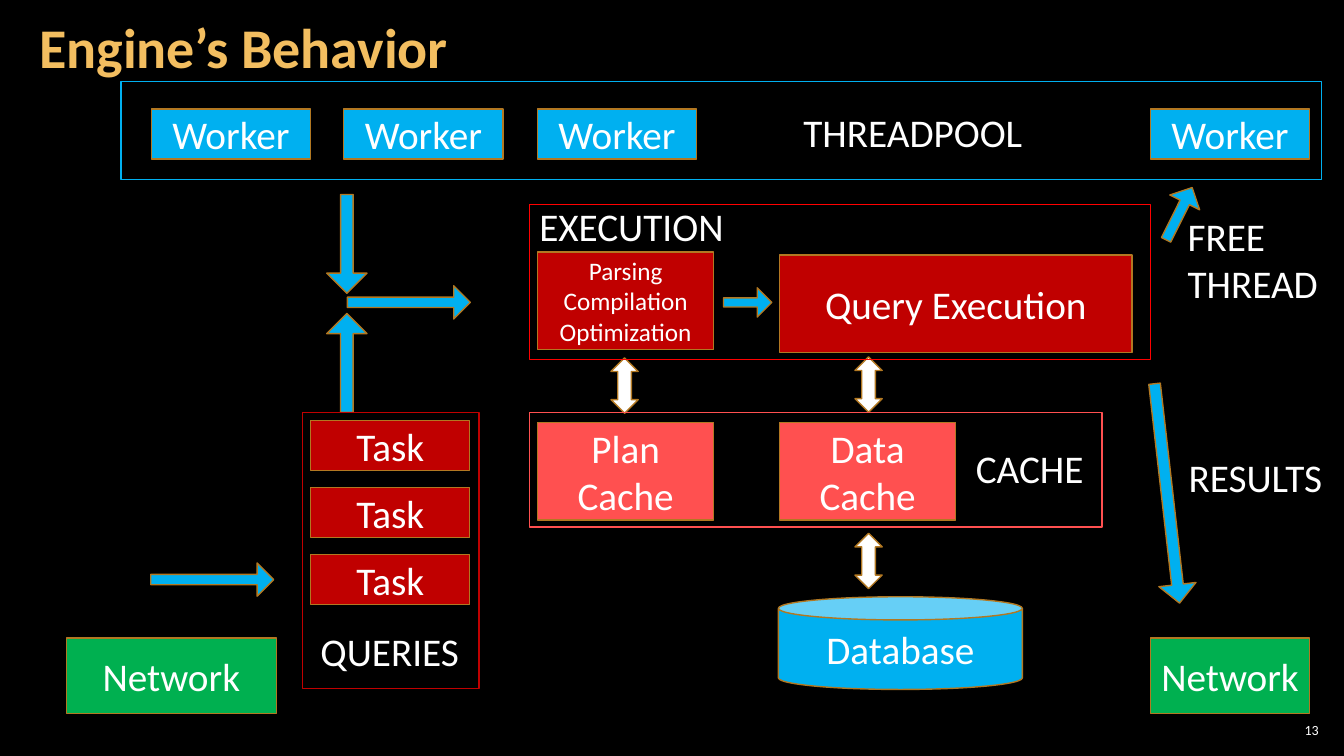
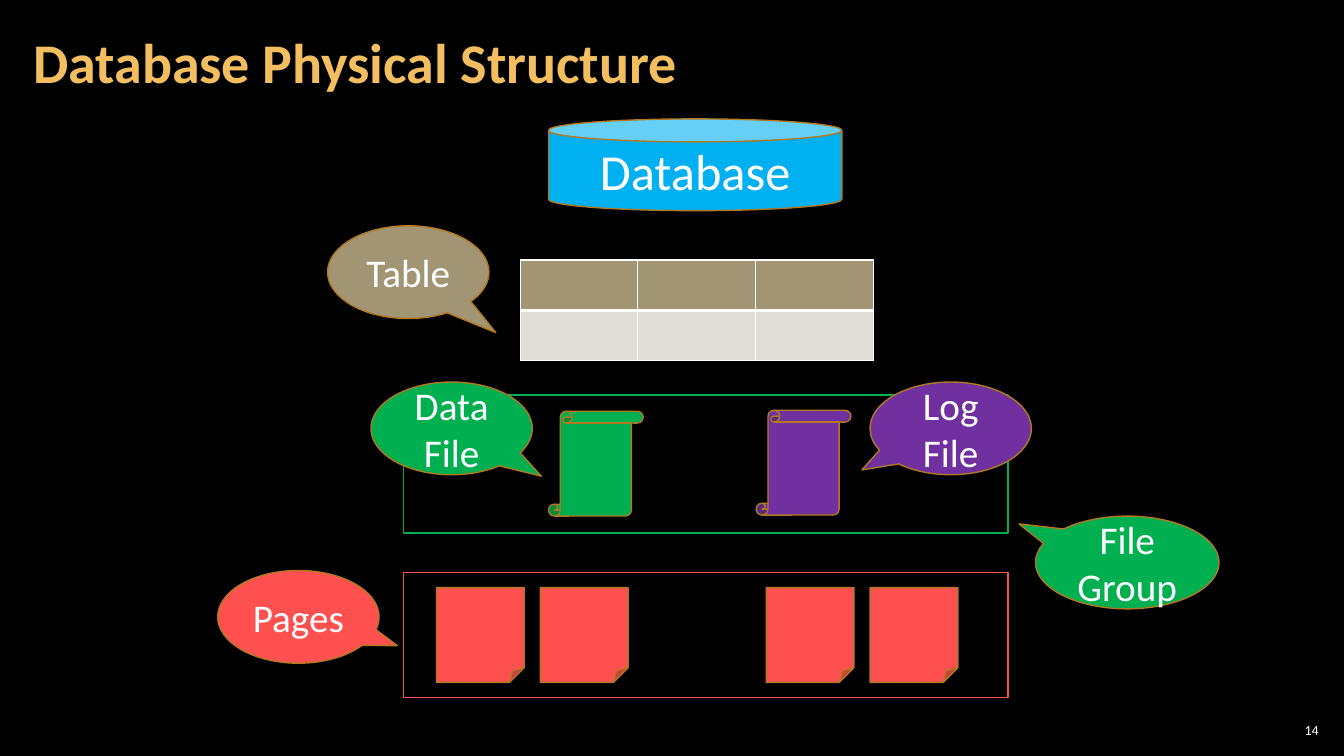
from dataclasses import dataclass

from lxml.etree import SubElement
from pptx import Presentation
from pptx.dml.color import RGBColor
from pptx.enum.shapes import MSO_SHAPE as SHAPE
from pptx.enum.text import MSO_ANCHOR as ANCHOR, MSO_AUTO_SIZE as AUTO, PP_ALIGN as ALIGN
from pptx.oxml.ns import qn
from pptx.util import Emu, Inches, Pt

FONT = "Calibri"
BLACK, WHITE, GOLD, BRONZE = "000000", "FFFFFF", "F3BE60", "B27822"
BLUE, GREEN, RED, CORAL = "00B0F0", "00B050", "C00000", "FF5050"
BRIGHT_RED, PURPLE, TAN, PALE_TAN = "FF0000", "7030A0", "A19574", "E0DDD6"

Box = tuple[float, float, float, float]


@dataclass(frozen=True)
class Block:
    box: Box
    fill: str
    text: str = ""
    size: int = 28
    kind: SHAPE = SHAPE.RECTANGLE
    rotation: float = 0
    adjust: tuple[float, ...] = ()


@dataclass(frozen=True)
class Frame:
    box: Box
    color: str


@dataclass(frozen=True)
class Label:
    text: str
    box: Box


def rgb(color: str) -> RGBColor:
    return RGBColor.from_string(color)


def lengths(box: Box) -> list[Emu]:
    return [Inches(value) for value in box]


def write(tf, text: str, size: int, color: str = WHITE, bold: bool = False, align=ALIGN.LEFT) -> None:
    tf.text = text
    for p in tf.paragraphs:
        p.alignment = align
        for r in p.runs:
            r.font.name, r.font.size, r.font.bold = FONT, Pt(size), bold
            r.font.color.rgb = rgb(color)


def add_outlined(slide, kind: SHAPE, box: Box, line: str):
    sp = slide.shapes.add_shape(kind, *lengths(box))
    sp.shadow.inherit = False
    sp.line.color.rgb = rgb(line)
    sp.line.width = Pt(1)
    return sp


def add_frame(slide, frame: Frame) -> None:
    add_outlined(slide, SHAPE.RECTANGLE, frame.box, frame.color).fill.background()


def add_block(slide, block: Block) -> None:
    sp = add_outlined(slide, block.kind, block.box, BRONZE)
    sp.fill.solid()
    sp.fill.fore_color.rgb = rgb(block.fill)
    sp.rotation = block.rotation
    for i, value in enumerate(block.adjust):
        sp.adjustments[i] = value
    if block.text:
        tf = sp.text_frame
        tf.word_wrap = True
        tf.vertical_anchor = ANCHOR.MIDDLE
        write(tf, block.text, block.size, align=ALIGN.CENTER)


def add_label(slide, label: Label) -> None:
    tf = slide.shapes.add_textbox(*lengths(label.box)).text_frame
    tf.word_wrap = False
    tf.auto_size = AUTO.SHAPE_TO_FIT_TEXT
    write(tf, label.text, 28)


def add_fixed_text(slide, box: Box, side_inset: float):
    tf = slide.shapes.add_textbox(*lengths(box)).text_frame
    tf.word_wrap = True
    tf.vertical_anchor = ANCHOR.MIDDLE
    tf.margin_left = tf.margin_right = Inches(side_inset)
    tf.margin_top = tf.margin_bottom = Inches(0.04)
    return tf


def new_slide(prs, title: str, left: float, top: float, number: int):
    slide = prs.slides.add_slide(prs.slide_layouts[6])
    slide.background.fill.solid()
    slide.background.fill.fore_color.rgb = rgb(BLACK)
    tf = add_fixed_text(slide, (left, top, 10.47, 1.21), 0.12)
    write(tf, title, 40, GOLD, bold=True)
    tf.paragraphs[0].line_spacing = 0.9
    tf = add_fixed_text(slide, (12.65, 7.14, 0.47, 0.21), 0.04)
    write(tf, str(number), 10, align=ALIGN.RIGHT)
    return slide


def arrow(box: Box, rotation: float = 0) -> Block:
    return Block(box, BLUE, kind=SHAPE.UP_ARROW, rotation=rotation, adjust=(0.312, 0.5))


def database(box: Box, size: int) -> Block:
    return Block(box, BLUE, "Database", size, SHAPE.CAN)


def callout(text: str, box: Box, fill: str, tip: tuple[float, float]) -> Block:
    return Block(box, fill, text, kind=SHAPE.OVAL_CALLOUT, adjust=tip)


def set_borders(cell, bottom: float) -> None:
    tc_pr = cell._tc.get_or_add_tcPr()
    for i, (tag, width) in enumerate((("lnL", 1), ("lnR", 1), ("lnT", 1), ("lnB", bottom))):
        ln = tc_pr.makeelement(qn(f"a:{tag}"), {"w": str(Pt(width))})
        fill = SubElement(ln, qn("a:solidFill"))
        SubElement(fill, qn("a:srgbClr"), val=WHITE)
        tc_pr.insert(i, ln)


def add_sample_table(slide) -> None:
    table = slide.shapes.add_table(2, 3, *lengths((5.16, 2.58, 3.5, 1))).table
    for row, fill, bottom in zip(table.rows, (TAN, PALE_TAN), (3, 1)):
        for cell in row.cells:
            cell.fill.solid()
            cell.fill.fore_color.rgb = rgb(fill)
            set_borders(cell, bottom)


def build_behavior(prs) -> None:
    slide = new_slide(prs, "Engine’s Behavior", 0.27, -0.11, 13)
    workers = [Block((x, 1.08, 1.58, 0.5), BLUE, "Worker") for x in (1.5, 3.41, 5.33, 11.41)]
    tasks = [Block((3.08, 4.17 + 0.665 * i, 1.58, 0.5), RED, "Task") for i in range(3)]
    networks = [Block((x, 6.33, w, 0.75), GREEN, "Network") for x, w in ((0.66, 2.08), (11.41, 1.58))]
    caches = [Block((x, 4.19, 1.75, 0.97), CORAL, text)
              for x, text in ((5.33, "Plan Cache"), (7.73, "Data Cache"))]
    steps = [
        Block((5.33, 2.5, 1.75, 0.97), RED, "Parsing\nCompilation\nOptimization", 18),
        Block((7.73, 2.53, 3.5, 0.97), RED, "Query Execution"),
    ]
    arrows = [
        arrow((1.94, 5.14, 0.33, 1.22), 90),
        arrow((3.89, 2.39, 0.33, 1.22), 90),
        arrow((3.24, 1.93, 0.4, 0.98), 180),
        arrow((3.24, 3.11, 0.4, 0.98)),
        arrow((7.27, 2.76, 0.29, 0.48), 90),
        arrow((11.53, 1.83, 0.33, 0.58), 26.5),
        arrow((11.39, 3.8, 0.37, 2.19), 173.5),
    ]
    exchanges = [Block((x, y, 0.27, 0.55), WHITE, kind=SHAPE.UP_DOWN_ARROW)
                 for x, y in ((6.06, 3.55), (8.48, 3.54), (8.48, 5.29))]
    frames = [
        Frame((1.2, 0.81, 11.91, 0.97), BLUE),
        Frame((3, 4.09, 1.75, 2.74), RED),
        Frame((5.25, 2.03, 6.16, 1.54), BRIGHT_RED),
        Frame((5.25, 4.09, 5.68, 1.14), CORAL),
    ]
    labels = [
        Label("THREADPOOL", (7.87, 1.03, 2.4, 0.57)),
        Label("QUERIES", (3.08, 6.17, 1.59, 0.57)),
        Label("EXECUTION", (5.25, 1.96, 2.05, 0.57)),
        Label("CACHE", (9.58, 4.36, 1.28, 0.57)),
        Label("RESULTS", (11.69, 4.45, 1.54, 0.57)),
        Label("FREE\nTHREAD", (11.68, 2.06, 1.51, 1.04)),
    ]
    storage = database((7.72, 5.92, 2.42, 0.92), 28)
    for block in (*networks, *tasks, *workers, *steps, *caches, storage, *arrows, *exchanges):
        add_block(slide, block)
    for frame in frames:
        add_frame(slide, frame)
    for label in labels:
        add_label(slide, label)


def build_structure(prs) -> None:
    slide = new_slide(prs, "Database Physical Structure", 0.21, 0.04, 14)
    files = [Block((x, y, 0.94, 1.04), fill, kind=SHAPE.VERTICAL_SCROLL)
             for x, y, fill in ((5.44, 4.08, GREEN), (7.5, 4.07, PURPLE))]
    pages = [Block((x, 5.83, 0.87, 0.94), CORAL, kind=SHAPE.FOLDED_CORNER)
             for x in (4.33, 5.36, 7.6, 8.63)]
    frames = [Frame((4, 3.92, 6, 1.37), GREEN), Frame((4, 5.68, 6, 1.24), CORAL)]
    callouts = [
        callout("Table", (3.25, 2.24, 1.6, 0.92), TAN, (0.543, 0.652)),
        callout("Data File", (3.68, 3.79, 1.6, 0.92), GREEN, (0.556, 0.515)),
        callout("Log File", (8.63, 3.79, 1.6, 0.92), PURPLE, (-0.551, 0.447)),
        callout("File Group", (10.27, 5.12, 1.82, 0.92), GREEN, (-0.59, -0.416)),
        callout("Pages", (2.16, 5.66, 1.6, 0.92), CORAL, (0.614, 0.311)),
    ]
    add_sample_table(slide)
    for block in (database((5.44, 1.18, 2.91, 0.91), 36), *files, *pages):
        add_block(slide, block)
    for frame in frames:
        add_frame(slide, frame)
    for block in callouts:
        add_block(slide, block)


def main() -> None:
    prs = Presentation()
    prs.slide_width, prs.slide_height = Inches(13.33), Inches(7.5)
    build_behavior(prs)
    build_structure(prs)
    prs.save("out.pptx")


if __name__ == "__main__":
    main()
